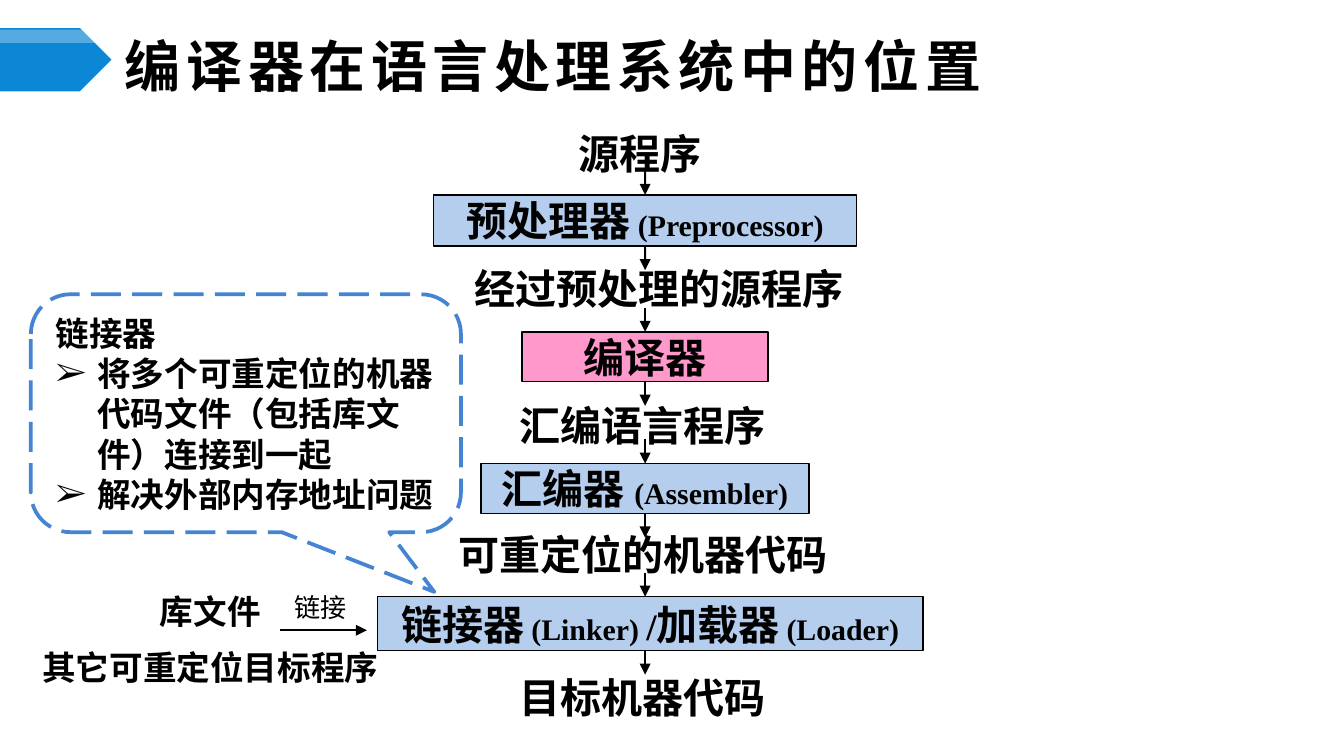
"""Build the slide on where the compiler sits in a language processing system."""
from lxml import etree
from pptx import Presentation
from pptx.dml.color import RGBColor
from pptx.enum import dml, shapes, text
from pptx.oxml import ns
from pptx.util import Inches, Pt

BLACK = RGBColor(0, 0, 0)
WHITE = RGBColor(255, 255, 255)
BLUE = RGBColor(0x0B, 0x87, 0xD6)
PALE_BLUE = RGBColor(0xB5, 0xCE, 0xED)
PINK = RGBColor(0xFF, 0x99, 0xCC)
CALLOUT_BLUE = RGBColor(0x45, 0x84, 0xD3)
CJK, SERIF = "Noto Sans CJK SC", "Times New Roman"
CENTER, LEFT = text.PP_ALIGN.CENTER, text.PP_ALIGN.LEFT
MIDDLE, TOP = text.MSO_ANCHOR.MIDDLE, text.MSO_ANCHOR.TOP
AXIS, STEP = 4.8, 0.18


def add_run(p, words, size, font=SERIF, bold=True):
    r = p.add_run()
    r.text = words
    r.font.size = Pt(size)
    r.font.bold = bold
    r.font.color.rgb = BLACK
    r.font.name = font
    etree.SubElement(r.font._element, ns.qn("a:ea"), typeface=CJK)
    return r


def add_arrow(s, x1, y1, x2, y2):
    c = s.shapes.add_connector(shapes.MSO_CONNECTOR.STRAIGHT,
                               Inches(x1), Inches(y1), Inches(x2), Inches(y2))
    c.line.color.rgb = BLACK
    c.line.width = Pt(1)
    etree.SubElement(c.line._get_or_add_ln(), ns.qn("a:tailEnd"), type="triangle")
    etree.SubElement(c._element.spPr, ns.qn("a:effectLst"))
    return c


prs = Presentation()
prs.slide_width, prs.slide_height = Inches(10), Inches(10) * 9 // 16
s = prs.slides.add_slide(prs.slide_layouts[5])

for top, height, color in [(0.21, 0.47, BLUE), (0.22, 0.1, WHITE)]:
    sp = s.shapes.add_shape(shapes.MSO_SHAPE.PENTAGON, 0, Inches(top), Inches(0.83), Inches(height))
    sp.shadow.inherit = False
    sp.fill.solid()
    sp.fill.fore_color.rgb = color
    sp.line.fill.background()
clr = sp._element.spPr.find(".//" + ns.qn("a:srgbClr"))
etree.SubElement(clr, ns.qn("a:alpha"), val="30000")

title = s.shapes.title
title.left, title.top, title.width, title.height = Inches(0.83), Inches(0.29), Inches(8.67), Inches(0.39)
tf = title.text_frame
tf.auto_size = text.MSO_AUTO_SIZE.NONE
tf.vertical_anchor = MIDDLE
tf.paragraphs[0].alignment = LEFT
r = add_run(tf.paragraphs[0], "编译器在语言处理系统中的位置", 30, CJK)
r.font._element.set("spc", "300")

callout = s.shapes.add_shape(shapes.MSO_SHAPE.ROUNDED_RECTANGULAR_CALLOUT,
                             Inches(0.23), Inches(2.19), Inches(3.2), Inches(1.77))
for i, value in enumerate([0.438, 0.751, 0.167]):
    callout.adjustments[i] = value
callout.shadow.inherit = False
callout.fill.background()
callout.line.color.rgb = CALLOUT_BLUE
callout.line.width = Pt(2)
callout.line.dash_style = dml.MSO_LINE.LONG_DASH
tf = callout.text_frame
tf.word_wrap = True
tf.vertical_anchor = TOP
p = tf.paragraphs[0]
p.alignment = LEFT
add_run(p, "链接器", 18)
for words in ["将多个可重定位的机器代码文件（包括库文件）连接到一起", "解决外部内存地址问题"]:
    p = tf.add_paragraph()
    p.alignment = LEFT
    pPr = p._p.get_or_add_pPr()
    pPr.set("marL", str(Inches(0.31)))
    pPr.set("indent", str(-Inches(0.31)))
    etree.SubElement(pPr, ns.qn("a:buFont"), typeface=SERIF)
    etree.SubElement(pPr, ns.qn("a:buChar"), char="➢")
    add_run(p, words, 18)

labels = [
    (3.83, 1.02, 1.87, "源程序"),
    (3.44, 2.02, 2.93, "经过预处理的源程序"),
    (2.95, 3.04, 3.66, "汇编语言程序"),
    (3.32, 4, 2.93, "可重定位的机器代码"),
    (3.52, 5.07, 2.52, "目标机器代码"),
]
for left, top, width, words in labels:
    tf = s.shapes.add_textbox(Inches(left), Inches(top), Inches(width), Inches(0.24)).text_frame
    tf.word_wrap = False
    tf.margin_left = tf.margin_right = 0
    tf.vertical_anchor = MIDDLE
    tf.paragraphs[0].alignment = CENTER
    add_run(tf.paragraphs[0], words, 22)

stages = [
    (AXIS, 1.45, 3.15, 0.38, PALE_BLUE, [("预处理器", 22), (" ", 18), ("(Preprocessor)", 16)]),
    (AXIS, 2.47, 1.83, 0.37, PINK, [("编译器", 22)]),
    (AXIS, 3.45, 2.44, 0.37, PALE_BLUE, [("汇编器 ", 22), ("(Assembler)", 16)]),
    (4.84, 4.44, 4.06, 0.4, PALE_BLUE,
     [("链接器", 22), (" (Linker) ", 16), ("/", 20), ("加载器", 22), (" (Loader)", 16)]),
]
for center, top, width, height, color, runs in stages:
    box = s.shapes.add_shape(shapes.MSO_SHAPE.RECTANGLE, Inches(center - width / 2),
                             Inches(top), Inches(width), Inches(height))
    box.shadow.inherit = False
    box.fill.solid()
    box.fill.fore_color.rgb = color
    box.line.color.rgb = BLACK
    box.line.width = Pt(0.75)
    tf = box.text_frame
    tf.word_wrap = False
    tf.vertical_anchor = MIDDLE
    tf.paragraphs[0].alignment = CENTER
    for words, size in runs:
        add_run(tf.paragraphs[0], words, size)
    bottom = top + height
    arrow_in = add_arrow(s, AXIS, top - STEP, AXIS, top)
    arrow_out = add_arrow(s, AXIS, bottom, AXIS, bottom + STEP)
    if center == AXIS:
        arrow_in.end_connect(box, 0)
        arrow_out.begin_connect(box, 2)

tf = s.shapes.add_textbox(Inches(0.04), Inches(4.31), Inches(3.05), Inches(0.78)).text_frame
tf.word_wrap = False
tf.vertical_anchor = MIDDLE
for p, words in [(tf.paragraphs[0], "库文件"), (tf.add_paragraph(), "其它可重定位目标程序")]:
    p.alignment = CENTER
    p.line_spacing = Pt(30)
    add_run(p, words, 18, CJK)

add_arrow(s, 2.08, 4.69, 2.73, 4.69)
tf = s.shapes.add_textbox(Inches(2.09), Inches(4.35), Inches(0.72), Inches(0.34)).text_frame
tf.word_wrap = True
add_run(tf.paragraphs[0], "链接", 14, CJK, False)

prs.save("out.pptx")
